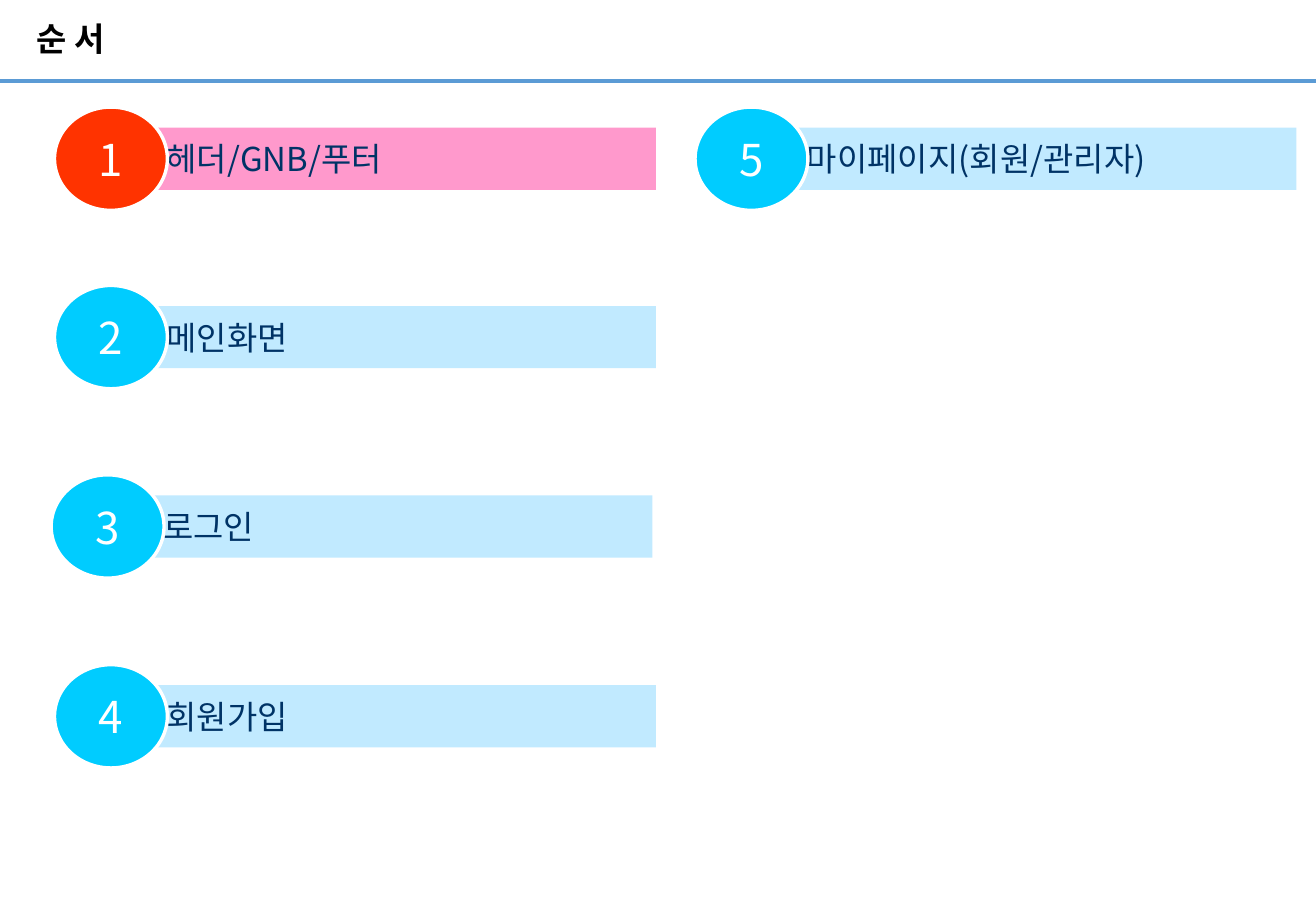
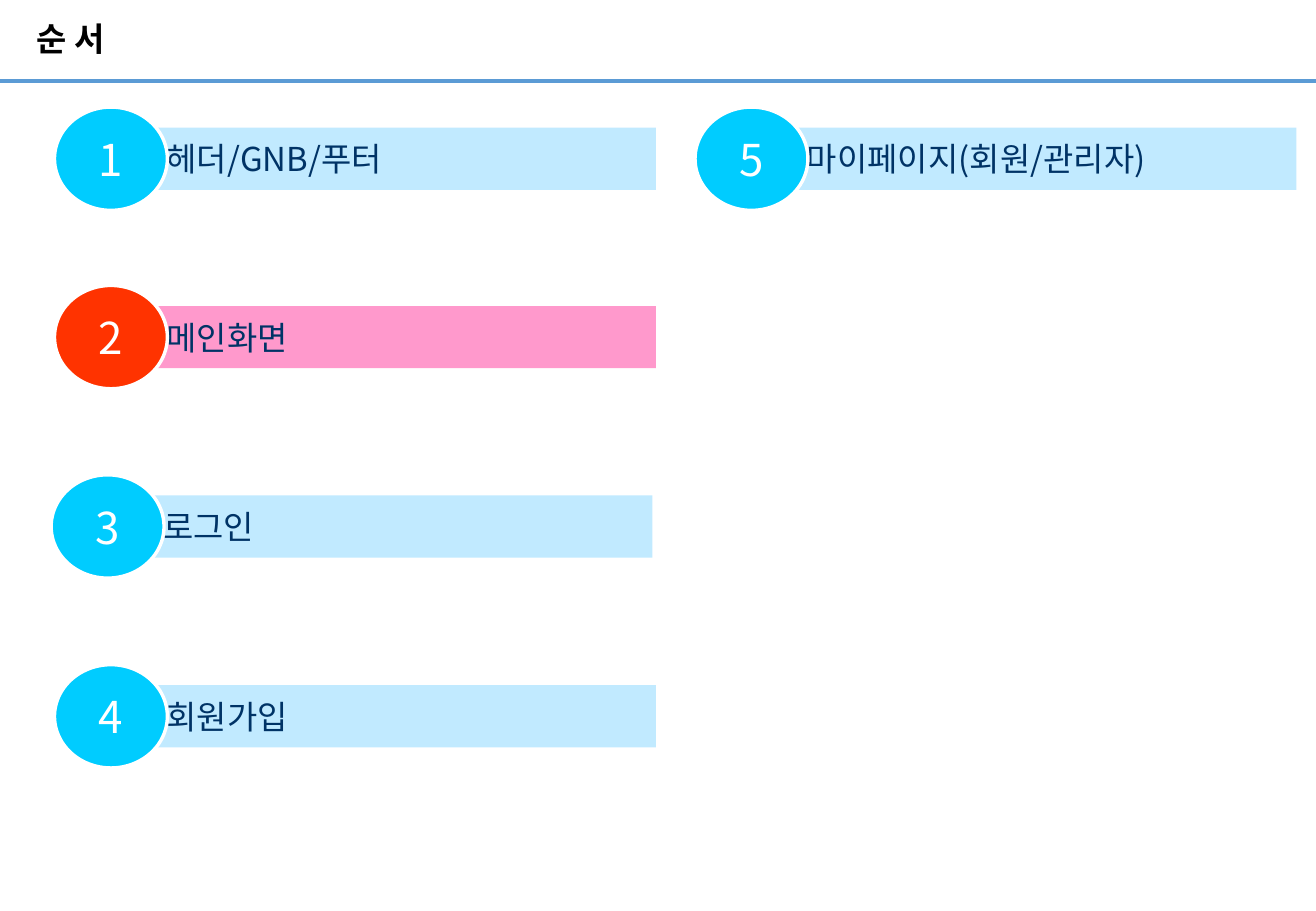
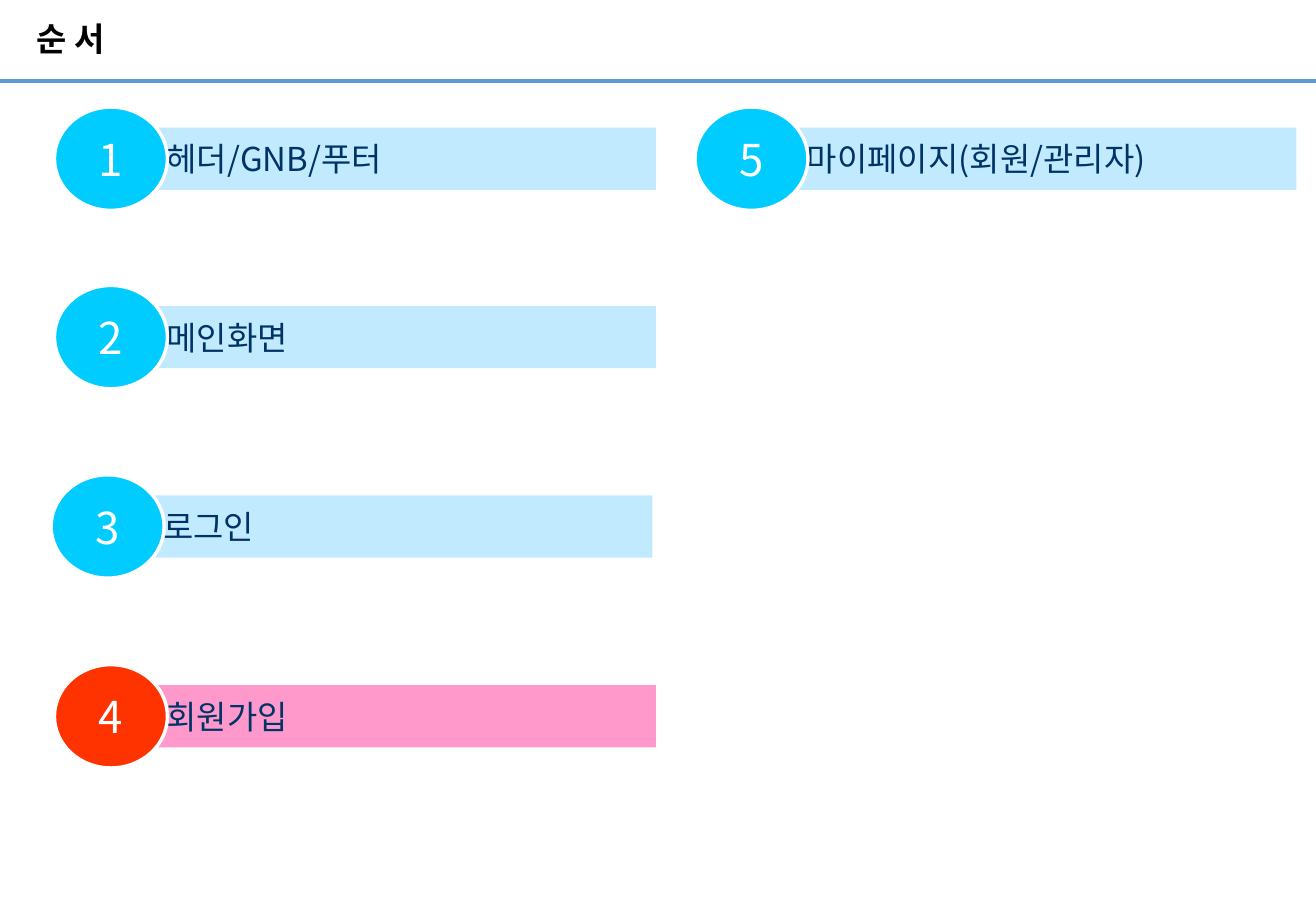
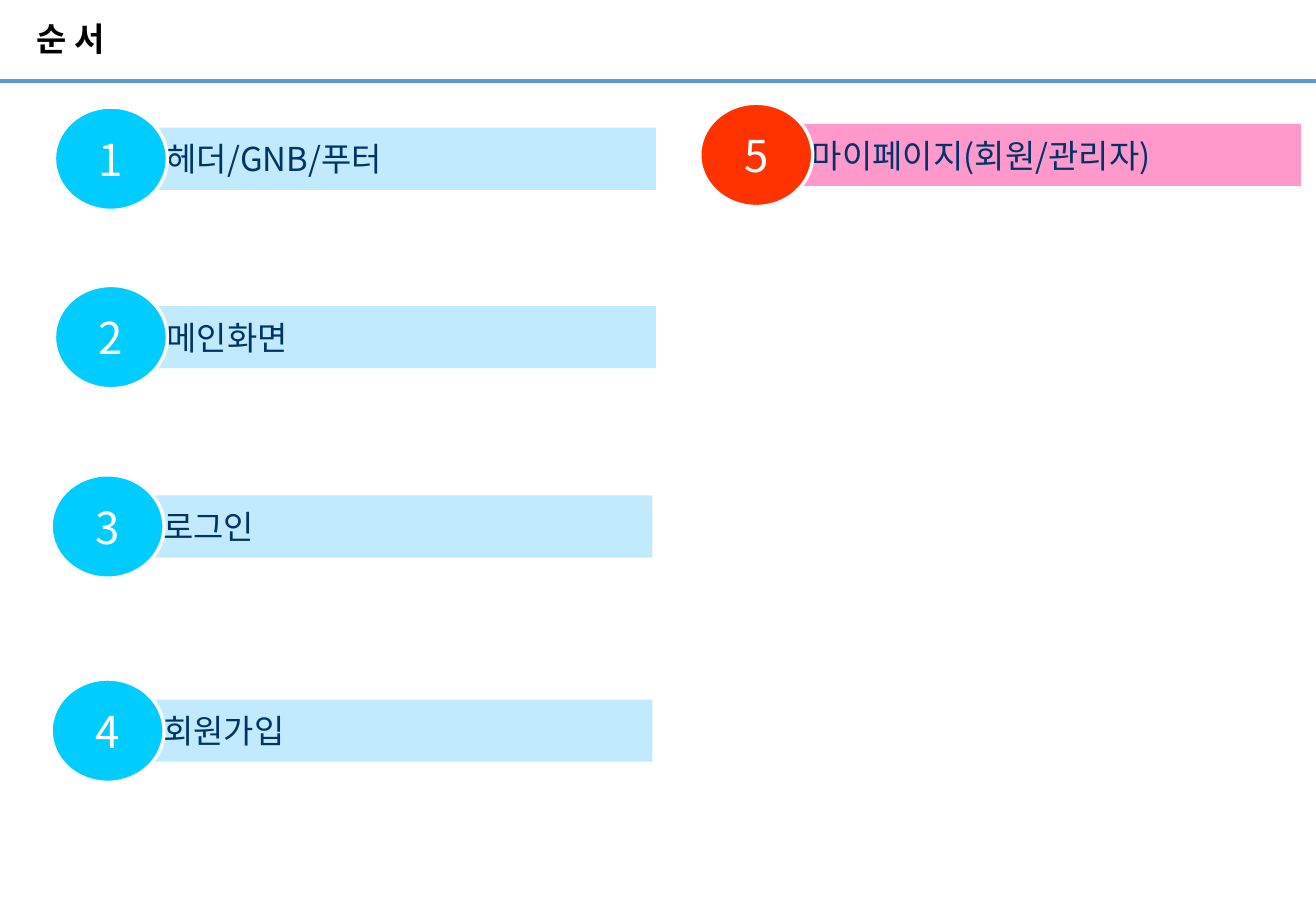
from pptx import Presentation
from pptx.dml.color import RGBColor
from pptx.enum.shapes import MSO_CONNECTOR, MSO_SHAPE
from pptx.enum.text import MSO_ANCHOR, PP_ALIGN
from pptx.oxml.ns import qn
from pptx.util import Cm, Pt
from lxml.etree import SubElement

WIDE, HIGH = 27.51, 19.05
SANS = "Noto Sans CJK KR"
HUES = {
    "rule": "5B9BD5", "title": "000000", "text": "003366", "white": "FFFFFF",
    "bar": "C1EAFF", "disc": "00CCFF", "hot_bar": "FF99CC", "hot_disc": "FF3300",
}

BAR_W, BAR_H = 11.63, 1.3
DISC_W, DISC_H = 2.36, 2.16

TOPICS = {1: "헤더/GNB/푸터", 2: "메인화면", 3: "로그인", 4: "회원가입",
          5: "마이페이지(회원/관리자)"}
SPOTS = {1: (1.14, 2.24), 2: (1.14, 5.97), 3: (1.07, 9.93), 4: (1.14, 13.9),
         5: (14.53, 2.24)}
# Highlighted topic of each slide, with the topics that move on it
PAGES = [(1, {}), (2, {}), (4, {}), (5, {4: (1.07, 14.2), 5: (14.63, 2.16)})]


def hue(name):
    return RGBColor.from_string(HUES[name])


def write(shape, text, size, color, font=SANS, bold=False, align=PP_ALIGN.LEFT):
    """Put one run in the shape, centred vertically, and return its paragraph."""
    shape.text_frame.vertical_anchor = MSO_ANCHOR.MIDDLE
    para = shape.text_frame.paragraphs[0]
    para.alignment = align
    run = para.add_run()
    run.text = text
    run.font.size = Pt(size)
    run.font.bold = bold
    run.font.name = font
    run.font.color.rgb = hue(color)
    SubElement(run.font._element, qn("a:ea")).set("typeface", SANS)
    return para


def add_form(slide, kind, left, top, wide, high, fill):
    form = slide.shapes.add_shape(kind, Cm(left), Cm(top), Cm(wide), Cm(high))
    form.shadow.inherit = False
    form.fill.solid()
    form.fill.fore_color.rgb = hue(fill)
    form.line.fill.background()
    return form


def add_head(slide, text):
    """Draw the title and the rule below it."""
    rule = slide.shapes.add_connector(
        MSO_CONNECTOR.STRAIGHT, 0, Cm(1.7), Cm(WIDE), Cm(1.7))
    rule.line.color.rgb = hue("rule")
    rule.line.width = Pt(2.25)
    SubElement(rule._element.spPr, qn("a:effectLst"))

    title = slide.shapes.add_textbox(Cm(0.76), 0, Cm(18), Cm(1.72))
    frame = title.text_frame
    frame.word_wrap = True
    frame.margin_left = frame.margin_right = 0
    frame.margin_top = frame.margin_bottom = 0
    write(title, text, 19.5, "title", "Arial", True).line_spacing = 0.9


def add_topic(slide, left, top, num, text, hot):
    """Draw a numbered disc over the left end of its bar."""
    tone = "hot_" if hot else ""
    bar = add_form(slide, MSO_SHAPE.RECTANGLE, left + 0.94,
                   top + (DISC_H - BAR_H) / 2, BAR_W, BAR_H, tone + "bar")
    bar.text_frame.margin_left = Cm(1.4)
    write(bar, text, 19.5, "text")

    disc = add_form(slide, MSO_SHAPE.OVAL, left, top, DISC_W, DISC_H, tone + "disc")
    disc.line.color.rgb = hue("white")
    disc.line.width = Pt(2)
    disc.text_frame.word_wrap = False
    write(disc, str(num), 26, "white", align=PP_ALIGN.CENTER)


def add_page(deck, hot, moved):
    slide = deck.slides.add_slide(deck.slide_layouts[6])
    add_head(slide, "순 서")
    spots = {**SPOTS, **moved}
    for num, text in TOPICS.items():
        add_topic(slide, *spots[num], num, text, num == hot)


def main():
    deck = Presentation()
    deck.slide_width, deck.slide_height = Cm(WIDE), Cm(HIGH)
    for hot, moved in PAGES:
        add_page(deck, hot, moved)
    deck.save("out.pptx")


if __name__ == "__main__":
    main()
